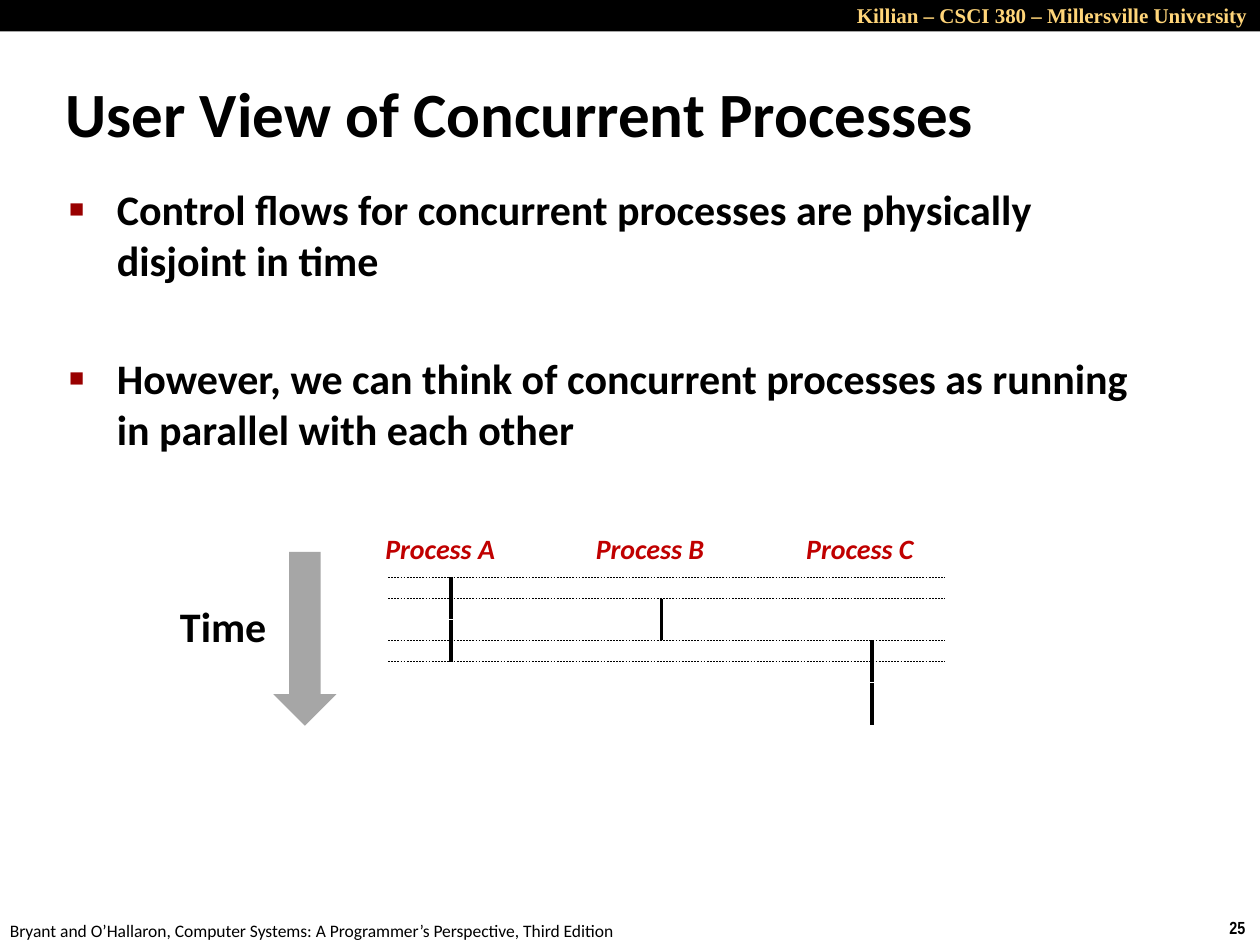
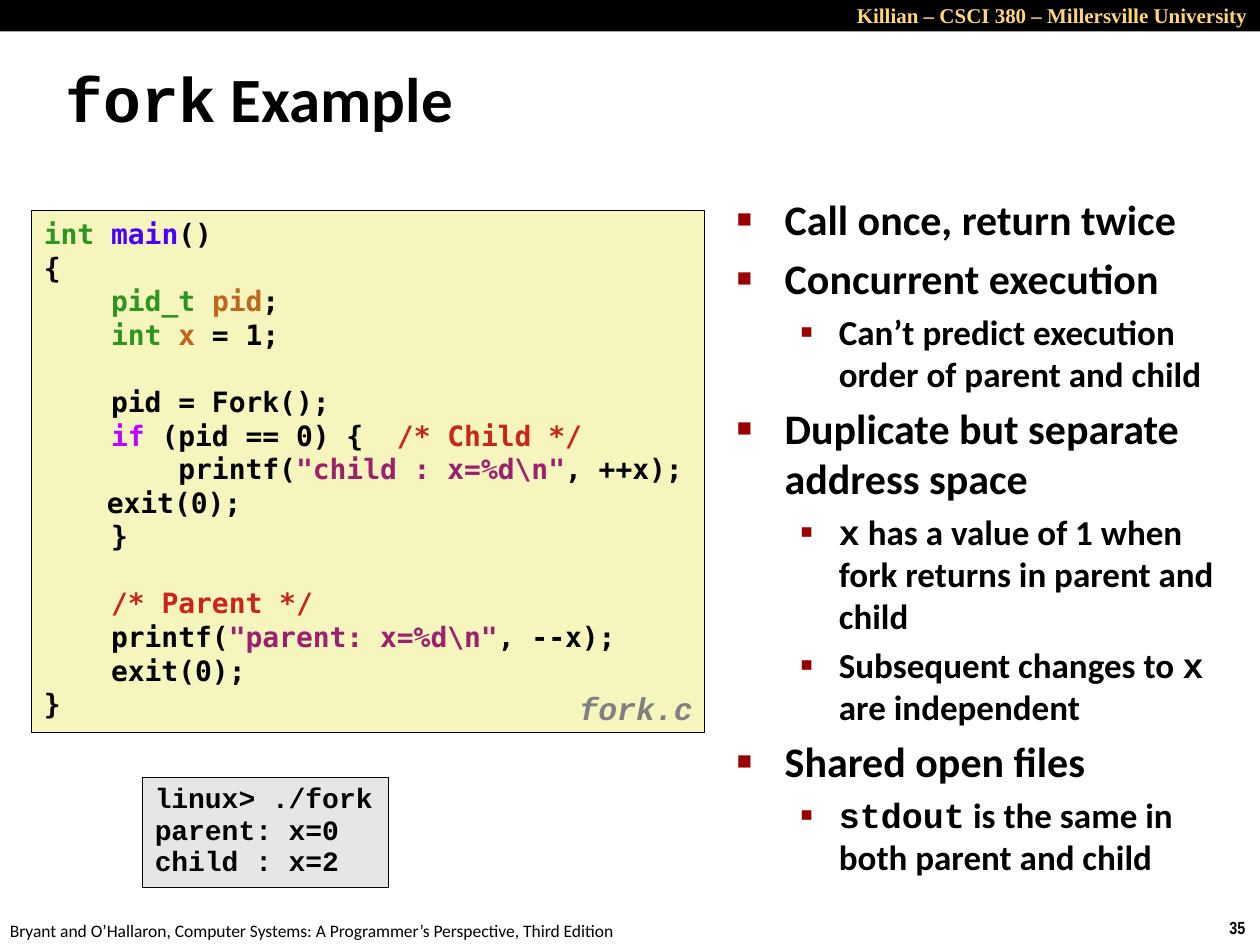
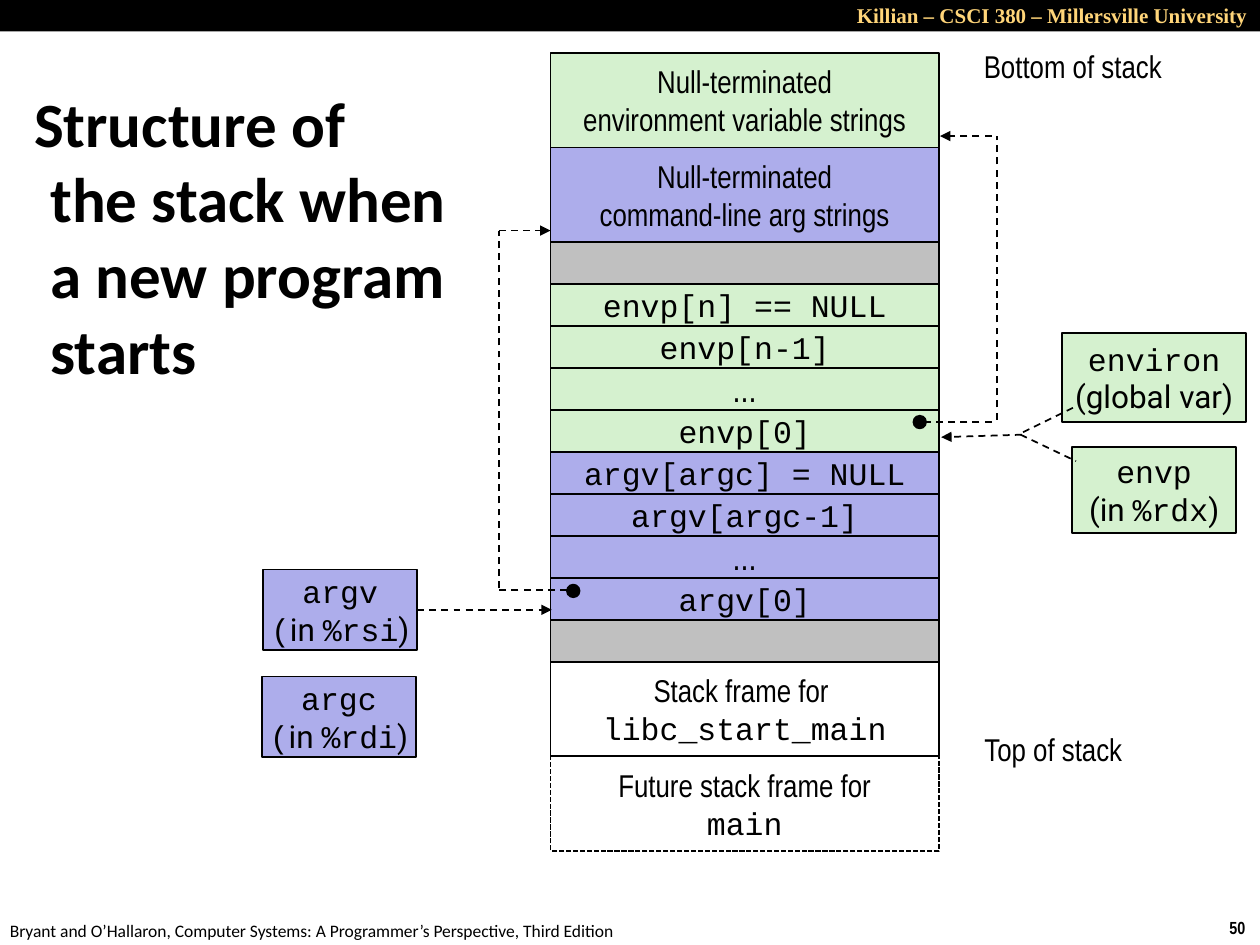
"""Build three lecture slides on concurrent processes, fork and the initial stack."""
import pptx
import pptx.dml.color
import pptx.enum.dml
import pptx.enum.shapes
import pptx.enum.text
import pptx.oxml
import pptx.oxml.ns
import pptx.util

Inches = pptx.util.Inches
Pt = pptx.util.Pt
RGBColor = pptx.dml.color.RGBColor
SHAPE = pptx.enum.shapes.MSO_SHAPE
DASH = pptx.enum.dml.MSO_LINE
ALIGN = pptx.enum.text.PP_ALIGN
ANCHOR = pptx.enum.text.MSO_ANCHOR
AUTO_SIZE = pptx.enum.text.MSO_AUTO_SIZE
qn = pptx.oxml.ns.qn

BLACK = RGBColor(0x00, 0x00, 0x00)
GOLD = RGBColor(0xFF, 0xD5, 0x79)
LABEL_RED = RGBColor(0xC0, 0x00, 0x00)
ARROW_GRAY = RGBColor(0xA6, 0xA6, 0xA6)
CODE_FILL = RGBColor(0xF6, 0xF5, 0xBD)
TERMINAL_FILL = RGBColor(0xE6, 0xE6, 0xE6)
FILE_GRAY = RGBColor(0x80, 0x80, 0x80)
TYPE_GREEN = RGBColor(0x2D, 0x96, 0x1E)
FUNCTION_BLUE = RGBColor(0x4A, 0x00, 0xFF)
VARIABLE_ORANGE = RGBColor(0xC1, 0x65, 0x1C)
KEYWORD_PURPLE = RGBColor(0xC2, 0x00, 0xFF)
COMMENT_RED = RGBColor(0xCB, 0x24, 0x18)
STRING_PLUM = RGBColor(0x9D, 0x20, 0x6F)
ENV_GREEN = RGBColor(0xD5, 0xF1, 0xCF)
ARG_BLUE = RGBColor(0xAD, 0xAD, 0xEB)
GAP_GRAY = RGBColor(0xC0, 0xC0, 0xC0)

BODY = "Calibri"
MONO = "Courier New"
CODE = "DejaVu Sans Mono"
NARROW = "Arial Narrow"
SANS = "Roboto"
THIRD = 1 / 3


def write(shape, lines, size, font, color=BLACK, bold=False, italic=False,
          align=ALIGN.LEFT, anchor=ANCHOR.TOP, wrap=False, grow=True):
    """Fill a shape; a line is a string, a (text, font or colour) pair, or a list of these."""
    frame = shape.text_frame
    frame.word_wrap = wrap
    frame.auto_size = AUTO_SIZE.SHAPE_TO_FIT_TEXT if grow else AUTO_SIZE.NONE
    frame.vertical_anchor = anchor
    for index, line in enumerate(lines):
        paragraph = frame.add_paragraph() if index else frame.paragraphs[0]
        paragraph.alignment = align
        paragraph.font.size = Pt(size)
        paragraph.font.name = font
        paragraph.font.bold = bold
        paragraph.font.italic = italic
        paragraph.font.color.rgb = color
        pieces = line if isinstance(line, list) else [line]
        for piece in pieces:
            text, style = piece if isinstance(piece, tuple) else (piece, None)
            if len(pieces) == 1:
                paragraph.text = text
                target = paragraph.font
            else:
                run = paragraph.add_run()
                run.text = text
                target = run.font
            if isinstance(style, RGBColor):
                target.color.rgb = style
            elif style:
                target.name = style
    return frame


def draw_line(slide, x1, y1, x2, y2, width, dash=None, arrow=False):
    """Draw a black straight connector, with an arrowhead at its end if asked."""
    connector = slide.shapes.add_connector(
        pptx.enum.shapes.MSO_CONNECTOR.STRAIGHT, Inches(x1), Inches(y1), Inches(x2), Inches(y2))
    connector.line.color.rgb = BLACK
    connector.line.width = Pt(width)
    if dash:
        connector.line.dash_style = dash
    properties = connector._element.spPr
    if arrow:
        head = pptx.oxml.parse_xml(
            f'<a:tailEnd {pptx.oxml.ns.nsdecls("a")} type="triangle"/>')
        properties.find(qn("a:ln")).append(head)
    properties.append(pptx.oxml.parse_xml(f'<a:effectLst {pptx.oxml.ns.nsdecls("a")}/>'))
    return connector


prs = pptx.Presentation()
prs.slide_width = Inches(10)
prs.slide_height = Inches(7.5)

slides = []
for number, heading, left, top, width, height in [
    ("25", "User View of Concurrent Processes", 0.42, 0.58, 9.25, 0.63),
    ("35", [("fork", MONO), " Example"], 0.42, 0.46, 6.23, 0.63),
    ("50", "Structure of \vthe stack when a new program starts", 0.17, 0.83, 3.57, 2.08),
]:
    slide = prs.slides.add_slide(prs.slide_layouts[5])
    slides.append(slide)
    title = slide.shapes.title
    title.left, title.top = Inches(left), Inches(top)
    title.width, title.height = Inches(width), Inches(height)
    write(title, [heading], 36, BODY, bold=True, anchor=ANCHOR.MIDDLE, wrap=True, grow=False)
    hanging = title.text_frame.paragraphs[0]._p.get_or_add_pPr()
    hanging.set("marL", str(Inches(0.13)))
    hanging.set("indent", str(Inches(-0.13)))

    band = slide.shapes.add_shape(SHAPE.RECTANGLE, 0, 0, prs.slide_width, Inches(0.25))
    band.shadow.inherit = False
    band.fill.solid()
    band.fill.fore_color.rgb = BLACK
    band.line.fill.background()
    course = slide.shapes.add_textbox(Inches(5.83), Inches(-0.03), Inches(4.17), Inches(0.3))
    write(course, ["Killian – CSCI 380 – Millersville University"], 12, "Times New Roman",
          GOLD, bold=True, align=ALIGN.RIGHT, wrap=True)
    page = slide.shapes.add_textbox(Inches(9.66), Inches(7.23), Inches(0.34), Inches(0.27))
    write(page, [number], 10, NARROW, bold=True)
    book = slide.shapes.add_textbox(Inches(-0.02), Inches(7.25), Inches(5.08), Inches(0.27))
    write(book, ["Bryant and O’Hallaron, Computer Systems: A Programmer’s Perspective, "
                 "Third Edition"], 10, BODY)

processes, fork, stack = slides

for slide, left, top, width, height, points in [
    (processes, 0.45, 1.41, 8.64, 2.18, [
        (0, 0, "Control flows for concurrent processes are physically disjoint in time"),
        (0, 39, "However, we can think of concurrent processes as running in parallel "
                "with each other"),
    ]),
    (fork, 5.75, 1.49, 4.17, 5.68, [
        (0, 0, "Call once, return twice"),
        (0, 4.8, "Concurrent execution"),
        (1, 4, "Can’t predict execution order of parent and child"),
        (0, 4.8, "Duplicate but separate address space"),
        (1, 4, [("x", MONO), " has a value of 1 when fork returns in parent and child"]),
        (1, 4, ["Subsequent changes to ", ("x", MONO), " are independent"]),
        (0, 4.8, "Shared open files"),
        (1, 4, [("stdout", MONO), " is the same in both parent and child"]),
    ]),
]:
    body = slide.shapes.add_textbox(Inches(left), Inches(top), Inches(width), Inches(height))
    frame = write(body, [text for _, _, text in points], 24, BODY,
                  bold=True, wrap=True, grow=False)
    for paragraph, (level, space, _) in zip(frame.paragraphs, points):
        margin, hang, mark, percent, size = [
            (0.38, 0.38, "■", 60, 24), (0.81, 0.31, "▪", 110, 20)][level]
        paragraph.level = level
        paragraph.space_before = Pt(space)
        paragraph.font.size = Pt(size)
        properties = paragraph._p.get_or_add_pPr()
        properties.set("marL", str(Inches(margin)))
        properties.set("indent", str(Inches(-hang)))
        bullet = pptx.oxml.parse_xml(
            f'<a:pPr {pptx.oxml.ns.nsdecls("a")}>'
            '<a:buClr><a:srgbClr val="990000"/></a:buClr>'
            f'<a:buSzPct val="{percent * 1000}"/><a:buFont typeface="Arial"/>'
            f'<a:buChar char="{mark}"/></a:pPr>')
        for part in list(bullet):
            properties.find(qn("a:defRPr")).addprevious(part)

time_label = processes.shapes.add_textbox(Inches(1.33), Inches(4.72), Inches(0.89), Inches(0.5))
write(time_label, ["Time"], 24, BODY, bold=True)
for column, letter in enumerate("ABC"):
    label = processes.shapes.add_textbox(
        Inches(2.96 + 1.67 * column), Inches(4.17), Inches(1.09), Inches(0.37))
    write(label, [f"Process {letter}"], 16, BODY, LABEL_RED, bold=True, italic=True)
for x, y in [(3.58, 4.58), (3.58, 4.92), (5.25, 4.75), (6.92, 5.08), (6.92, 5.42)]:
    draw_line(processes, x, y, x, y + THIRD, 2)
for y in [4.58, 4.75, 5.08, 5.25]:
    draw_line(processes, 3.08, y, 7.5, y, 0.25, DASH.DASH)
time_arrow = processes.shapes.add_shape(
    SHAPE.DOWN_ARROW, Inches(2.17), Inches(4.38), Inches(0.5), Inches(1.38))
time_arrow.shadow.inherit = False
time_arrow.fill.solid()
time_arrow.fill.fore_color.rgb = ARROW_GRAY
time_arrow.line.fill.background()

program = [
    [("int ", TYPE_GREEN), ("main", FUNCTION_BLUE), "()"],
    "{",
    ["    ", ("pid_t ", TYPE_GREEN), ("pid", VARIABLE_ORANGE), ";"],
    ["    ", ("int ", TYPE_GREEN), ("x", VARIABLE_ORANGE), " = 1;"],
    "    pid = Fork();",
    ["    ", ("if", KEYWORD_PURPLE), " (pid == 0) {  ", ("/* Child */", COMMENT_RED)],
    ["        printf(", ('"child : x=%d\\n"', STRING_PLUM), ", ++x);"],
    "\texit(0);",
    "    }",
    ["    ", ("/* Parent */", COMMENT_RED)],
    ["    printf(", ('"parent: x=%d\\n"', STRING_PLUM), ", --x);"],
    "    exit(0);",
    "}",
]
session = ["linux> ./fork", "parent: x=0", "child : x=2"]
listings = []
for left, top, width, height, fill, lines, font in [
    (0.25, 1.67, 5.34, 4.14, CODE_FILL, program, CODE),
    (1.13, 6.17, 1.95, 0.87, TERMINAL_FILL, session, MONO),
]:
    listing = fork.shapes.add_shape(
        SHAPE.RECTANGLE, Inches(left), Inches(top), Inches(width), Inches(height))
    listing.shadow.inherit = False
    listing.fill.solid()
    listing.fill.fore_color.rgb = fill
    listing.line.color.rgb = BLACK
    listing.line.width = Pt(0.25)
    listings.append(write(listing, lines, 16, font, bold=True))
source, terminal = listings
for first_of_block in [4, 9]:
    source.paragraphs[first_of_block].space_before = Pt(19.2)
file_label = fork.shapes.add_textbox(Inches(4.5), Inches(5.44), Inches(1.17), Inches(0.39))
file_name = write(file_label, ["fork.c"], 18, MONO, FILE_GRAY, bold=True, italic=True)
for paragraph in [*terminal.paragraphs, *file_name.paragraphs]:
    paragraph.line_spacing = 0.94

cells = [
    (0.75, ENV_GREEN, 18, [("Null-terminated", NARROW), ("environment variable strings", NARROW)]),
    (0.75, ARG_BLUE, 18, [("Null-terminated", NARROW), ("command-line arg strings", NARROW)]),
    (THIRD, GAP_GRAY, 18, []),
    (THIRD, ENV_GREEN, 18, ["envp[n] == NULL"]),
    (THIRD, ENV_GREEN, 18, ["envp[n-1]"]),
    (THIRD, ENV_GREEN, 20, [("...", NARROW)]),
    (THIRD, ENV_GREEN, 18, ["envp[0]"]),
    (THIRD, ARG_BLUE, 18, ["argv[argc] = NULL"]),
    (THIRD, ARG_BLUE, 18, ["argv[argc-1]"]),
    (THIRD, ARG_BLUE, 20, [("...", NARROW)]),
    (THIRD, ARG_BLUE, 18, ["argv[0]"]),
    (THIRD, GAP_GRAY, 18, []),
    (0.75, None, 18, [("Stack frame for ", NARROW), "libc_start_main"]),
    (0.75, None, 18, [("Future stack frame for", NARROW), "main"]),
]
boxes = []
cell_top = 0.42
for height, fill, size, lines in cells:
    boxes.append((4.37, cell_top, 3.08, height, fill, size, lines))
    cell_top += height
boxes += [
    (8.43, 2.64, 1.46, 0.71, ENV_GREEN, 18, ["environ", ("(global var)", SANS)]),
    (8.51, 3.55, 1.3, 0.68, ENV_GREEN, 18,
     ["envp", [("(in ", SANS), "%rdx", (")", SANS)]]),
    (2.08, 5.37, 1.22, 0.64, ARG_BLUE, 18,
     ["argc", ["(", ("in ", SANS), "%rdi", (")", SANS)]]),
    (2.09, 4.52, 1.22, 0.64, ARG_BLUE, 18,
     ["argv", ["(", ("in ", SANS), "%rsi", (")", SANS)]]),
]
drawn = []
for left, top, width, height, fill, size, lines in boxes:
    box = stack.shapes.add_shape(
        SHAPE.RECTANGLE, Inches(left), Inches(top), Inches(width), Inches(height))
    box.shadow.inherit = False
    if fill:
        box.fill.solid()
        box.fill.fore_color.rgb = fill
    else:
        box.fill.background()
    box.line.color.rgb = BLACK
    box.line.width = Pt(1)
    write(box, lines, size, MONO, align=ALIGN.CENTER, anchor=ANCHOR.MIDDLE, grow=False)
    drawn.append(box)
future_frame = drawn[len(cells) - 1]
future_frame.line.dash_style = DASH.SQUARE_DOT
argv_register = drawn[-1]

argv_pointer = draw_line(stack, 3.31, 4.84, 4.38, 4.84, 1, DASH.DASH, arrow=True)
argv_pointer.begin_connect(argv_register, 3)
for x1, y1, x2, y2, arrow in [
    (4.5, 4.68, 3.96, 4.68, False),
    (3.96, 4.67, 3.96, 1.83, False),
    (3.96, 1.83, 4.37, 1.83, True),
    (7.87, 3.35, 7.33, 3.35, False),
    (7.91, 3.33, 7.91, 1.08, False),
    (7.87, 1.08, 7.46, 1.08, True),
    (8.1, 3.45, 8.54, 3.66, False),
    (8.11, 3.45, 7.47, 3.47, True),
    (8.12, 3.43, 8.55, 3.22, False),
]:
    draw_line(stack, x1, y1, x2, y2, 1, DASH.DASH, arrow)
for left, top in [(4.5, 4.64), (7.25, 3.3)]:
    dot = stack.shapes.add_shape(
        SHAPE.OVAL, Inches(left), Inches(top), Inches(0.1), Inches(0.1))
    dot.shadow.inherit = False
    dot.fill.solid()
    dot.fill.fore_color.rgb = BLACK
    dot.line.color.rgb = BLACK
    dot.line.width = Pt(1)
for text, left, top, width in [
    ("Bottom of stack", 7.7, 0.32, 1.63),
    ("Top of stack", 7.69, 5.74, 1.34),
]:
    end_label = stack.shapes.add_textbox(Inches(left), Inches(top), Inches(width), Inches(0.4))
    write(end_label, [text], 18, NARROW, align=ALIGN.CENTER, anchor=ANCHOR.MIDDLE)

prs.save("out.pptx")
